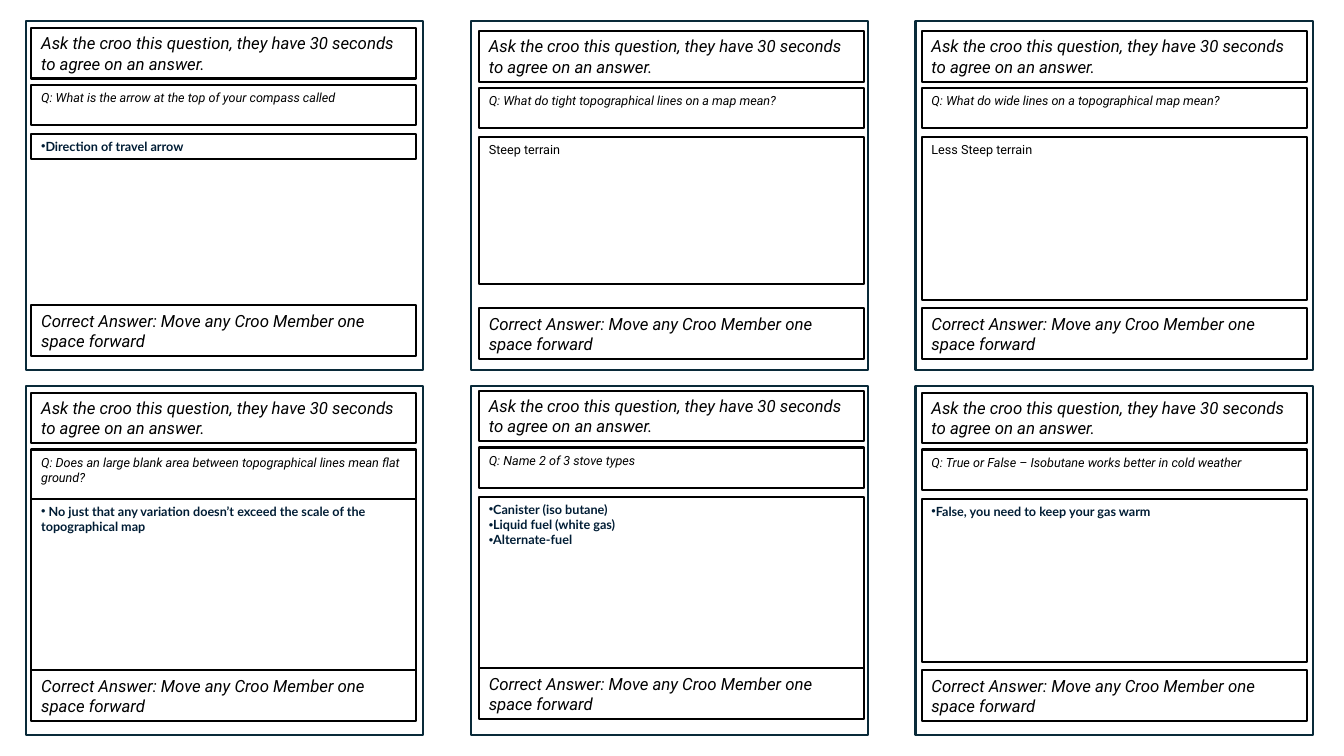
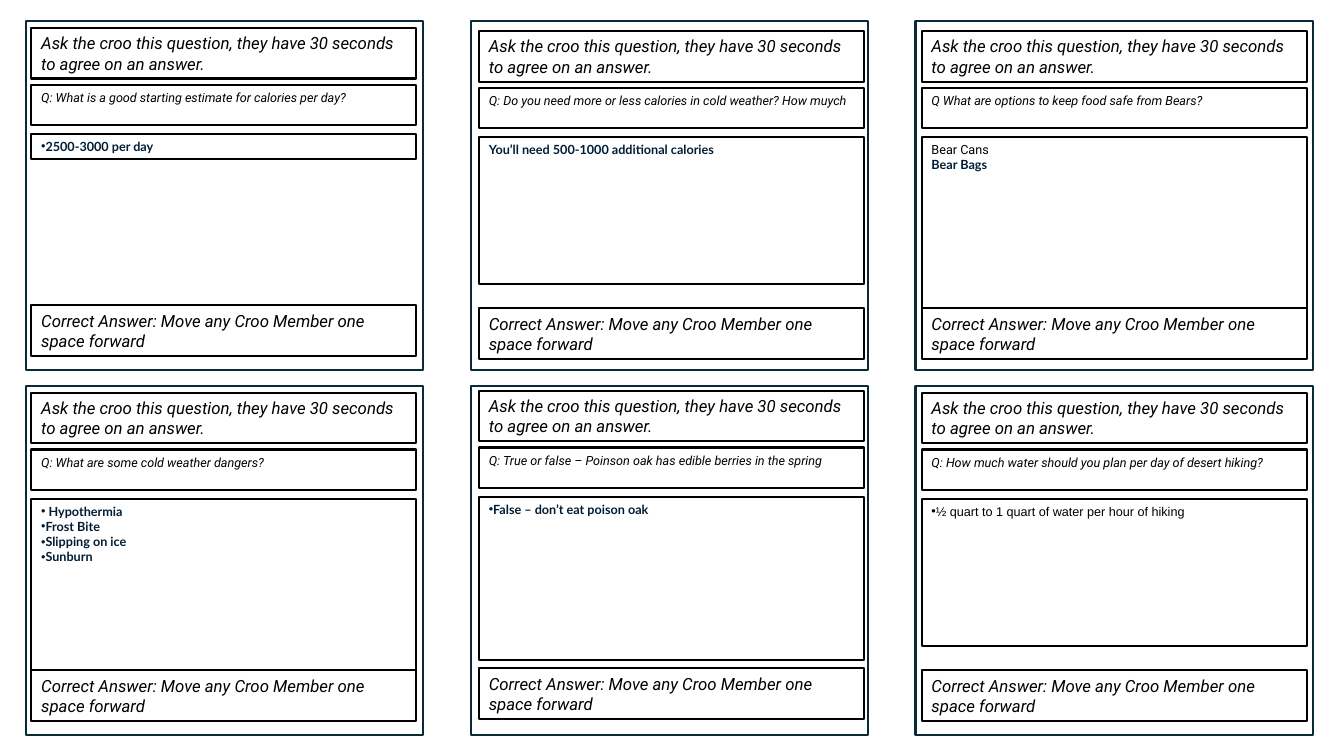
from lxml import etree
from pptx import Presentation
from pptx.dml.color import RGBColor
from pptx.enum.shapes import MSO_SHAPE
from pptx.enum.text import MSO_ANCHOR, PP_ALIGN
from pptx.oxml.ns import qn
from pptx.util import Inches, Pt

COLORS = {"frame": "092A39", "ink": "000000", "answer": "001D35", "paper": "FFFFFF"}
STYLES = {  # font, size, colour, bold, italic
    "prompt": ("Roboto", 12, "ink", False, True),
    "question": ("Roboto", 9, "ink", False, True),
    "plain": ("Roboto", 9, "ink", False, False),
    "arial": ("Arial", 9, "ink", False, False),
    "strong": ("Lato", 9, "answer", True, False),
}
ASK = "Ask the croo this question, they have 30 seconds to agree on an answer."
REWARD = "Correct Answer: Move any Croo Member one space forward"

# Each card: question, answer box height, whether bulleted, answer lines with style
DECK = [
    [
        ("Q: What is the arrow at the top of your compass called", 0.25, True,
         [("Direction of travel arrow", "strong")]),
        ("Q: What do tight topographical lines on a map mean?", 1.46, False,
         [("Steep terrain", "plain")]),
        ("Q: What do wide lines on a topographical map mean?", 1.62, False,
         [("Less Steep terrain", "plain")]),
        ("Q: Does an large blank area between topographical lines mean flat ground?", 1.77, True,
         [(" No just that any variation doesn’t exceed the scale of the topographical map",
           "strong")]),
        ("Q: Name 2 of 3 stove types", 1.92, True,
         [("Canister (iso butane)", "strong"), ("Liquid fuel (white gas)", "strong"),
          ("Alternate-fuel", "strong")]),
        ("Q: True or False – Isobutane works better in cold weather", 1.62, True,
         [("False, you need to keep your gas warm", "strong")]),
    ],
    [
        ("Q: What is a good starting estimate for calories per day?", 0.25, True,
         [("2500-3000 per day", "strong")]),
        ("Q: Do you need more or less calories in cold weather? How muych", 1.46, False,
         [("You’ll need 500-1000 additional calories", "strong")]),
        ("Q What are options to keep food safe from Bears?", 1.77, False,
         [("Bear Cans", "plain"), ("Bear Bags", "strong")]),
        ("Q: What are some cold weather dangers?", 2.07, True,
         [(" Hypothermia", "strong"), ("Frost Bite", "strong"),
          ("Slipping on ice", "strong"), ("Sunburn", "strong")]),
        ("Q: True or false – Poinson oak has edible berries in the spring", 1.62, True,
         [("False – don’t eat poison oak", "strong")]),
        ("Q: How much water should you plan per day of desert hiking?", 1.46, True,
         [("½ quart to 1 quart of water per hour of hiking", "arial")]),
    ],
]

COLUMNS = 3
GRID_LEFT, GRID_TOP = 0.26, 0.21
COLUMN_STEP, ROW_STEP = 4.41, 3.62
CARD_WIDTH, CARD_HEIGHT = 3.94, 3.46
BOX_WIDTH, PROMPT_HEIGHT = 3.82, 0.5
QUESTION_DROP, ANSWER_DROP, REWARD_DROP = 0.56, 1.05, 2.75
LONG_QUESTION = 70
# Where the boxes start inside each frame, in reading order
INSETS = [(0.05, 0.07), (0.08, 0.1), (0.06, 0.1),
          (0.05, 0.07), (0.08, 0.05), (0.06, 0.07)]


def color(key):
    return RGBColor.from_string(COLORS[key])


def add_box(slide, left, top, width, height, outline, fill=None):
    box = slide.shapes.add_shape(MSO_SHAPE.RECTANGLE, Inches(left), Inches(top),
                                 Inches(width), Inches(height))
    box.shadow.inherit = False
    box.line.color.rgb = color(outline)
    box.line.width = Pt(1.5)
    if fill:
        box.fill.solid()
        box.fill.fore_color.rgb = color(fill)
    else:
        box.fill.background()
    return box


def add_bullet(paragraph):
    properties = paragraph._p.get_or_add_pPr()
    properties.set("marL", "0")
    properties.set("indent", "0")
    etree.SubElement(properties, qn("a:buFont")).set("typeface", "Arial")
    etree.SubElement(properties, qn("a:buChar")).set("char", "•")


def add_text_box(slide, left, top, height, lines, bulleted=False):
    frame = add_box(slide, left, top, BOX_WIDTH, height, "ink", "paper").text_frame
    frame.word_wrap = True
    frame.vertical_anchor = MSO_ANCHOR.TOP
    for index, (text, style) in enumerate(lines):
        paragraph = frame.add_paragraph() if index else frame.paragraphs[0]
        paragraph.alignment = PP_ALIGN.LEFT
        if bulleted:
            add_bullet(paragraph)
        run = paragraph.add_run()
        run.text = text
        font = run.font
        font.name, size, ink, font.bold, font.italic = STYLES[style]
        font.size = Pt(size)
        font.color.rgb = color(ink)


def add_card(slide, position, question, answer_height, bulleted, answers):
    row, column = divmod(position, COLUMNS)
    left = GRID_LEFT + column * COLUMN_STEP
    top = GRID_TOP + row * ROW_STEP
    add_box(slide, left, top, CARD_WIDTH, CARD_HEIGHT, "frame")

    inset_x, inset_y = INSETS[position]
    left, top = left + inset_x, top + inset_y
    question_height = 0.56 if len(question) > LONG_QUESTION else 0.4
    add_text_box(slide, left, top, PROMPT_HEIGHT, [(ASK, "prompt")])
    add_text_box(slide, left, top + QUESTION_DROP, question_height, [(question, "question")])
    add_text_box(slide, left, top + ANSWER_DROP, answer_height, answers, bulleted)
    add_text_box(slide, left, top + REWARD_DROP, PROMPT_HEIGHT, [(REWARD, "prompt")])


def main():
    presentation = Presentation()
    presentation.slide_width, presentation.slide_height = Inches(13.33), Inches(7.5)
    blank = presentation.slide_layouts[6]
    for cards in DECK:
        slide = presentation.slides.add_slide(blank)
        for position, card in enumerate(cards):
            add_card(slide, position, *card)
    presentation.save("out.pptx")


if __name__ == "__main__":
    main()
